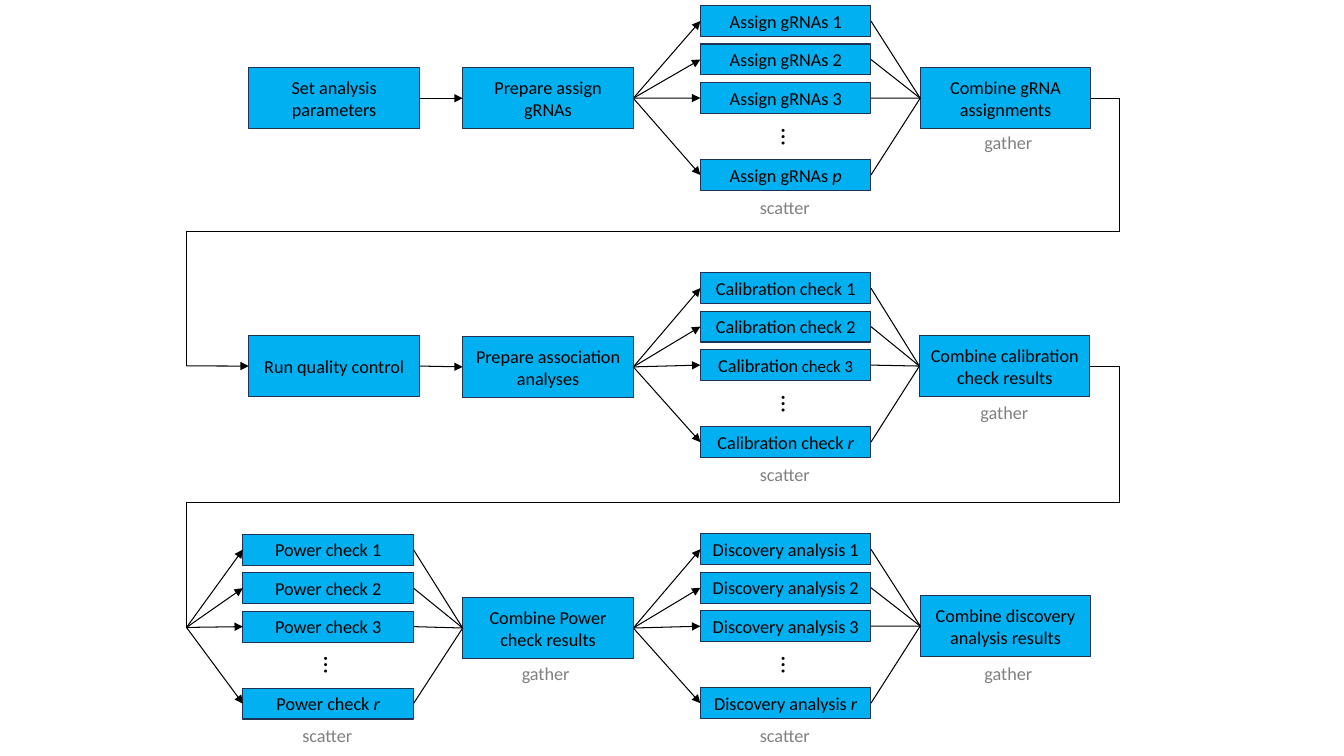
"""Draw the scatter and gather stages of a gRNA analysis workflow on one slide."""
from dataclasses import dataclass
from itertools import pairwise

from lxml import etree
from pptx import Presentation
from pptx.dml.color import RGBColor
from pptx.enum.shapes import MSO_CONNECTOR, MSO_SHAPE
from pptx.enum.text import MSO_ANCHOR, MSO_AUTO_SIZE, PP_ALIGN
from pptx.oxml.ns import qn
from pptx.shapes.autoshape import Shape
from pptx.slide import Slide
from pptx.util import Cm, Pt

RECT = MSO_SHAPE.RECTANGLE
STRAIGHT = MSO_CONNECTOR.STRAIGHT
MIDDLE = MSO_ANCHOR.MIDDLE
GROW = MSO_AUTO_SIZE.SHAPE_TO_FIT_TEXT
CENTER = PP_ALIGN.CENTER
LEFT = PP_ALIGN.LEFT
LEFT_SITE, RIGHT_SITE = 1, 3


@dataclass(frozen=True)
class Theme:
    font: str = "Calibri"
    fill: RGBColor = RGBColor(0x00, 0xB0, 0xF0)
    border: RGBColor = RGBColor(0x1E, 0x32, 0x56)
    ink: RGBColor = RGBColor(0x00, 0x00, 0x00)
    muted: RGBColor = RGBColor(0x80, 0x80, 0x80)
    body: float = 13
    small: float = 12
    dots: float = 18
    stroke: float = 0.75


@dataclass(frozen=True)
class Point:
    x: float
    y: float


@dataclass(frozen=True)
class Step:
    text: str
    left: float
    top: float
    gather: Point | None = None


@dataclass(frozen=True)
class Stack:
    label: str
    last: str
    left: float
    top: float
    source: str | Point
    target: str
    small_end: str = ""


THEME = Theme()
BOX_W, STEP_H, TASK_H, TASK_PITCH = 4.3, 1.55, 0.78, 0.97
TASK_ROWS = (0, 1, 2, 4)
COL_1, COL_2, COL_3, COL_4 = 6.27, 11.66, 17.65, 23.19
LOOP_LEFT, LOOP_RIGHT = 4.7, 28.22
POWER_START = Point(LOOP_LEFT, 15.81)

STEPS = {
    "parameters": Step("Set analysis parameters", COL_1, 1.7),
    "assign": Step("Prepare assign gRNAs", COL_2, 1.7),
    "assigned": Step("Combine gRNA assignments", COL_4, 1.7, Point(24.56, 3.18)),
    "quality": Step("Run quality control", COL_1, 8.45),
    "associate": Step("Prepare association analyses", COL_2, 8.47),
    "calibrated": Step("Combine calibration check results", 23.17, 8.45, Point(24.46, 9.98)),
    "powered": Step("Combine Power check results", COL_2, 15.05, Point(12.9, 16.56)),
    "discovered": Step("Combine discovery analysis results", COL_4, 15, Point(24.56, 16.56)),
}
STACKS = (
    Stack("Assign gRNAs", "p", COL_3, 0.14, "assign", "assigned"),
    Stack("Calibration check", "r", COL_3, 6.87, "associate", "calibrated", " check 3"),
    Stack("Power check", "r", 6.12, 13.46, POWER_START, "powered"),
    Stack("Discovery analysis", "r", COL_3, 13.45, "powered", "discovered"),
)
ARROWS = (("parameters", "assign"), ("quality", "associate"))


def write(s: Shape, text: str, *, size: float = THEME.body, color: RGBColor = THEME.ink,
          italic: bool = False, align: PP_ALIGN = CENTER) -> None:
    """Append one formatted run to the first paragraph of a shape."""
    p = s.text_frame.paragraphs[0]
    p.alignment = align
    r = p.add_run()
    r.text = text
    r.font.name = THEME.font
    r.font.size = Pt(size)
    r.font.color.rgb = color
    if italic:
        r.font.italic = True


def add_box(slide: Slide, left: float, top: float, height: float) -> Shape:
    """Add an empty blue box of the common width."""
    s = slide.shapes.add_shape(RECT, Cm(left), Cm(top), Cm(BOX_W), Cm(height))
    s.shadow.inherit = False
    s.fill.solid()
    s.fill.fore_color.rgb = THEME.fill
    s.line.color.rgb = THEME.border
    s.line.width = Pt(THEME.stroke)
    s.text_frame.word_wrap = True
    s.text_frame.vertical_anchor = MIDDLE
    return s


def add_label(slide: Slide, left: float, top: float, width: float, height: float) -> Shape:
    """Add an empty text box that grows with its text."""
    s = slide.shapes.add_textbox(Cm(left), Cm(top), Cm(width), Cm(height))
    s.text_frame.word_wrap = False
    s.text_frame.auto_size = GROW
    return s


def port(end: Shape | Point, site: int) -> tuple[int, int]:
    """Return the position of a point, or of the left or right middle of a box."""
    if isinstance(end, Point):
        return Cm(end.x), Cm(end.y)
    x = end.left + (end.width if site == RIGHT_SITE else 0)
    return x, end.top + end.height // 2


def join(slide: Slide, start: Shape | Point, end: Shape | Point, *, arrow: bool = False) -> None:
    """Draw a straight line from a right side or point to a left side or point."""
    c = slide.shapes.add_connector(STRAIGHT, *port(start, RIGHT_SITE), *port(end, LEFT_SITE))
    if isinstance(start, Shape):
        c.begin_connect(start, RIGHT_SITE)
    if isinstance(end, Shape):
        c.end_connect(end, LEFT_SITE)
    c.line.color.rgb = THEME.ink
    c.line.width = Pt(THEME.stroke)
    spPr = c.element.spPr
    if arrow:
        etree.SubElement(spPr.find(qn("a:ln")), qn("a:tailEnd"), type="triangle")
    etree.SubElement(spPr, qn("a:effectLst"))


def add_step(slide: Slide, step: Step) -> Shape:
    """Draw a single step and its gather label, if any."""
    s = add_box(slide, step.left, step.top, STEP_H)
    write(s, step.text)
    if step.gather:
        label = add_label(slide, step.gather.x, step.gather.y, 1.73, 0.81)
        write(label, "gather", color=THEME.muted, align=LEFT)
    return s


def add_stack(slide: Slide, stack: Stack, source: Shape | Point, target: Shape) -> None:
    """Draw parallel tasks with their lines, dots and scatter label."""
    for row, mark in zip(TASK_ROWS, ("1", "2", "3", stack.last)):
        s = add_box(slide, stack.left, stack.top + row * TASK_PITCH, TASK_H)
        text = f"{stack.label} {mark}"
        if stack.small_end and text.endswith(stack.small_end):
            write(s, text.removesuffix(stack.small_end))
            write(s, stack.small_end, size=THEME.small)
        else:
            write(s, f"{stack.label} ")
            write(s, mark, italic=mark == stack.last)
        join(slide, source, s, arrow=True)
        join(slide, s, target)
    center = stack.left + BOX_W / 2
    dots = add_label(slide, center - 0.33, stack.top + 2.82, 0.97, 1.02)
    dots.rotation = 90
    write(dots, "…", size=THEME.dots, align=LEFT)
    label = add_label(slide, center - 0.9, stack.top + 4.67, 1.8, 0.81)
    write(label, "scatter", color=THEME.muted, align=LEFT)


def add_loop(slide: Slide, start: Shape, y: float, end: Point) -> None:
    """Lead the flow from the end of one row round to the start of the next."""
    start_y = (start.top + start.height // 2) / Cm(1)
    path = (start, Point(LOOP_RIGHT, start_y), Point(LOOP_RIGHT, y), Point(LOOP_LEFT, y), end)
    for a, b in pairwise(path):
        join(slide, a, b)


def main() -> None:
    """Build the slide and save it."""
    prs = Presentation()
    prs.slide_width, prs.slide_height = Cm(33.87), Cm(19.05)
    slide = prs.slides.add_slide(prs.slide_layouts[6])
    boxes = {name: add_step(slide, step) for name, step in STEPS.items()}
    for stack in STACKS:
        source = stack.source if isinstance(stack.source, Point) else boxes[stack.source]
        add_stack(slide, stack, source, boxes[stack.target])
    for a, b in ARROWS:
        join(slide, boxes[a], boxes[b], arrow=True)
    quality_start = Point(LOOP_LEFT, 9.22)
    add_loop(slide, boxes["assigned"], 5.83, quality_start)
    join(slide, quality_start, boxes["quality"], arrow=True)
    add_loop(slide, boxes["calibrated"], 12.65, POWER_START)
    prs.save("out.pptx")


if __name__ == "__main__":
    main()
